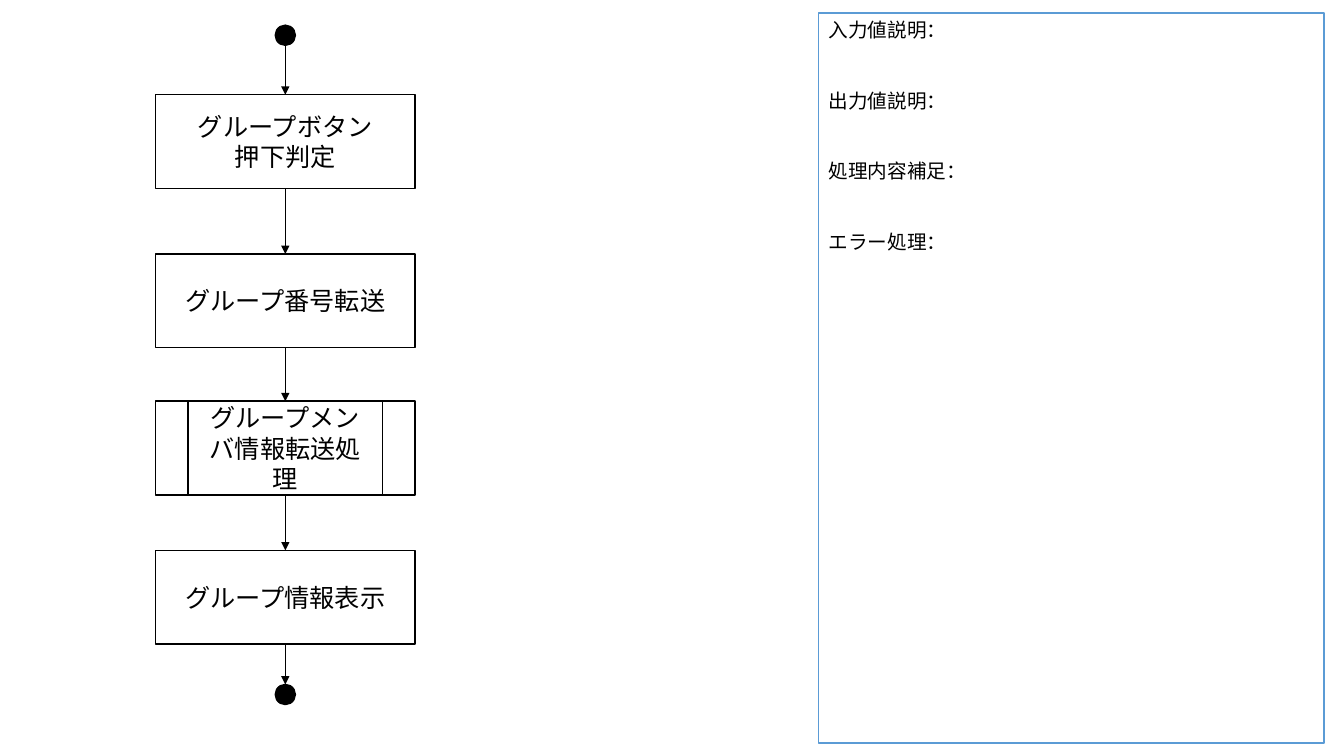
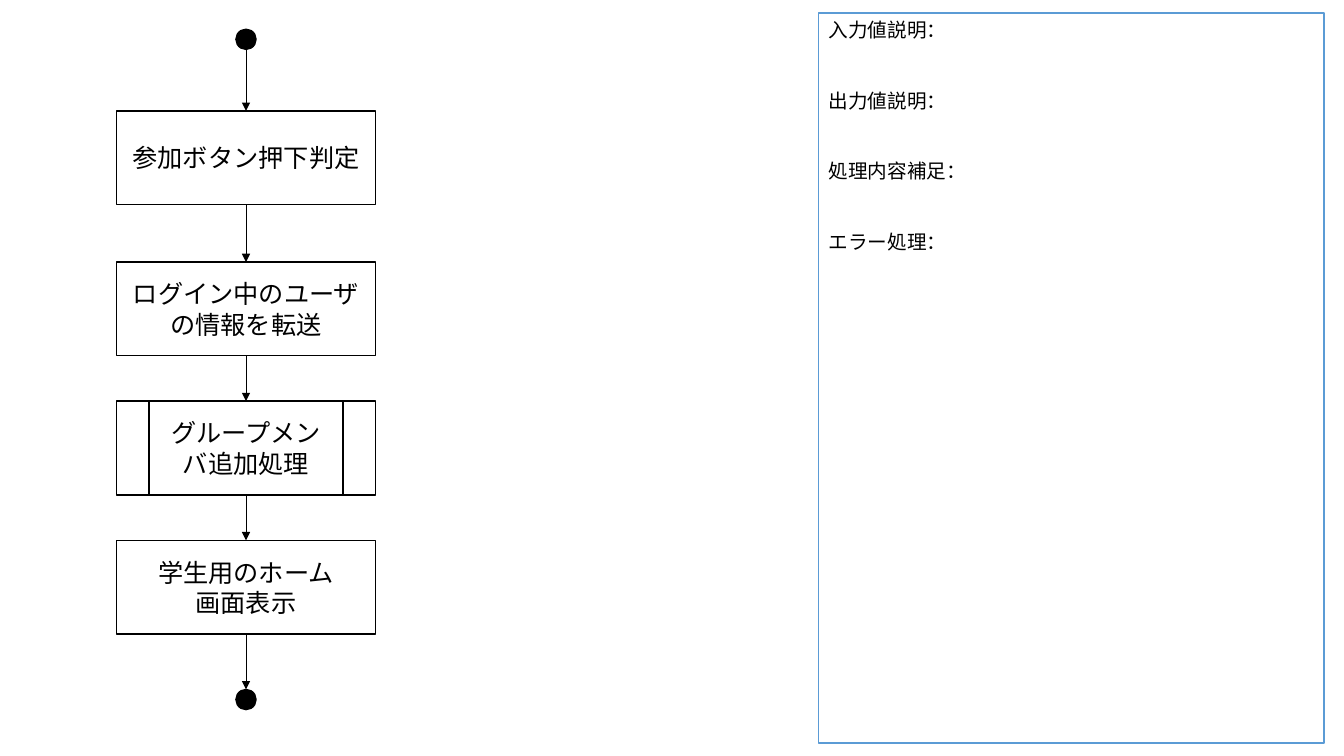
"""Two flowchart slides, each with a notes panel on the right."""
from pptx import Presentation
from pptx.dml.color import RGBColor
from pptx.enum import shapes, text
from pptx.oxml import parse_xml
from pptx.oxml.ns import nsdecls
from pptx.util import Inches, Pt

HUES = {"ink": "000000", "paper": "FFFFFF", "frame": "5B9BD5"}
KIND = shapes.MSO_SHAPE
STEP, CALL, DOT = KIND.FLOWCHART_PROCESS, KIND.FLOWCHART_PREDEFINED_PROCESS, KIND.OVAL
WIDE, HIGH, SIZE = 2.57, 0.93, 0.2
NOTES = ["入力値説明：", "出力値説明：", "処理内容補足：", "エラー処理："]
FLOWS = [
    (2.83, 0.25, 6.79, [
        (0.94, STEP, ["グループボタン", "押下判定"]),
        (2.52, STEP, ["グループ番号転送"]),
        (3.98, CALL, ["グループメンバ情報転送処理"]),
        (5.46, STEP, ["グループ情報表示"]),
    ]),
    (2.44, 0.29, 6.84, [
        (1.1, STEP, ["参加ボタン押下判定"]),
        (2.6, STEP, ["ログイン中のユーザ", "の情報を転送"]),
        (3.98, CALL, ["グループメンバ追加処理"]),
        (5.36, STEP, ["学生用のホーム", "画面表示"]),
    ]),
]


def add_box(slide, kind, area, fill, line, rows=(), size=18, align="CENTER", gap=0):
    box = slide.shapes.add_shape(kind, *map(Inches, area))
    box.shadow.inherit = False
    box.fill.solid()
    box.fill.fore_color.rgb = RGBColor.from_string(HUES[fill])
    box.line.color.rgb = RGBColor.from_string(HUES[line])
    box.line.width = Pt(1)
    frame = box.text_frame
    frame.word_wrap = True
    frame.vertical_anchor = text.MSO_ANCHOR.TOP if gap else text.MSO_ANCHOR.MIDDLE
    for i, row in enumerate(rows):
        para = frame.add_paragraph() if i else frame.paragraphs[0]
        para.text = row
        para.alignment = text.PP_ALIGN[align]
        para.space_after = Pt(gap)
        para.font.name = "Calibri"
        para.font.size = Pt(size)
        para.font.color.rgb = RGBColor.from_string(HUES["ink"])


def add_arrow(slide, x, top, end):
    arrow = slide.shapes.add_connector(
        shapes.MSO_CONNECTOR.STRAIGHT, *map(Inches, (x, top, x, end)))
    arrow.line.color.rgb = RGBColor.from_string(HUES["ink"])
    arrow.line.width = Pt(0.5)
    arrow.line._get_or_add_ln().append(
        parse_xml(f'<a:tailEnd {nsdecls("a")} type="triangle"/>'))
    arrow._element.spPr.append(parse_xml(f'<a:effectLst {nsdecls("a")}/>'))


deck = Presentation()
deck.slide_width, deck.slide_height = Inches(13.33), Inches(7.5)

for mid, start, stop, steps in FLOWS:
    slide = deck.slides.add_slide(deck.slide_layouts[6])
    add_box(slide, STEP, (8.12, 0.13, 5.01, 7.24), "paper", "frame",
            NOTES, 14, "LEFT", 33.6)
    for top in (start, stop):
        add_box(slide, DOT, (mid - SIZE / 2, top, SIZE, SIZE), "ink", "ink")
    last = start + SIZE
    for top, kind, rows in steps:
        add_box(slide, kind, (mid - WIDE / 2, top, WIDE, HIGH), "paper", "ink", rows)
        add_arrow(slide, mid, last, top)
        last = top + HIGH
    add_arrow(slide, mid, last, stop)

deck.save("out.pptx")
